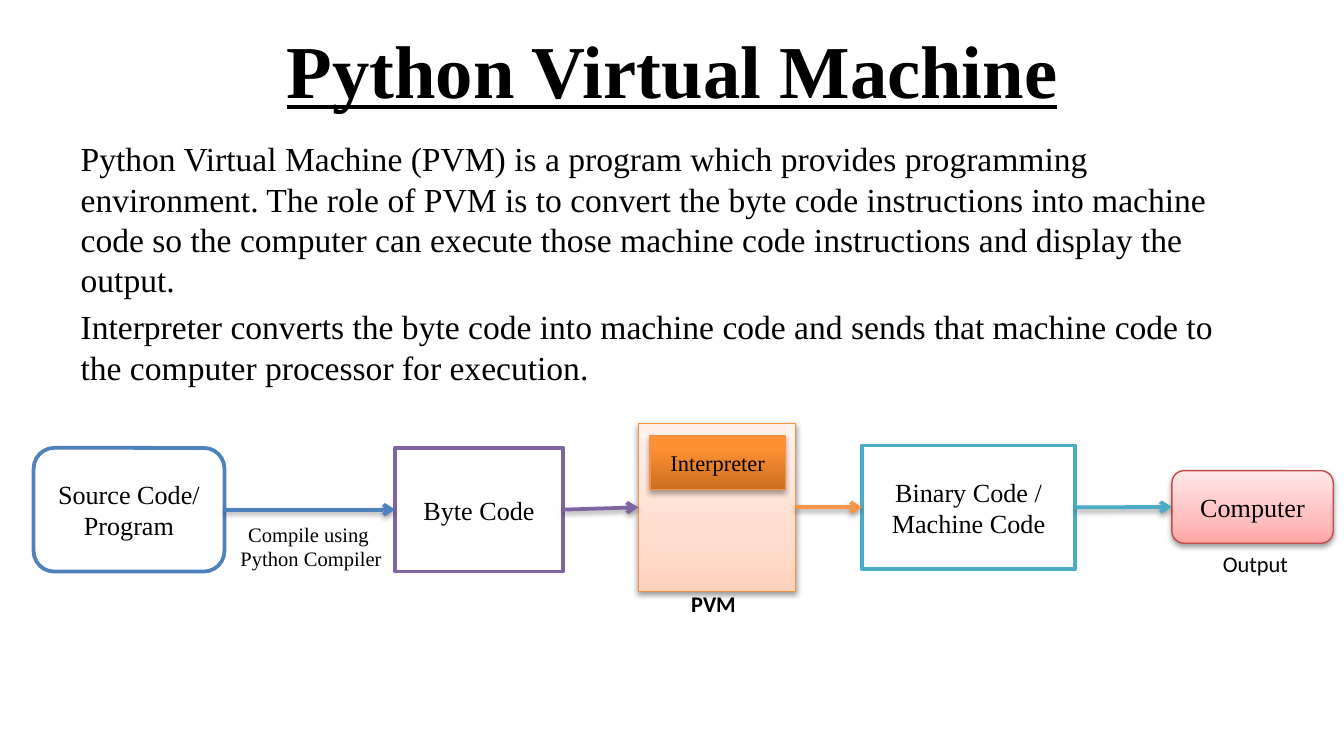
from copy import deepcopy
from itertools import pairwise

from pptx import Presentation
from pptx.dml.color import RGBColor
from pptx.enum.shapes import MSO_CONNECTOR as Link, MSO_SHAPE as Shape
from pptx.enum.text import MSO_ANCHOR as Anchor, MSO_AUTO_SIZE as AutoSize, PP_ALIGN as Align
from pptx.oxml import parse_xml
from pptx.oxml.ns import nsdecls
from pptx.util import Inches, Pt

SERIF, SANS = "Times New Roman", "Calibri"
LEFT_SITE, RIGHT_SITE = 1, 3
SLIDE_WIDTH = Inches(10)
SLIDE_HEIGHT = SLIDE_WIDTH * 9 // 16
TITLE_BOX = (5, 0.74, 90, 16.67)  # percent of the slide
BODY_BOX = (5, 17.41, 90, 35.56)
FLOW_BOX = (0, 56, 100, 22.22)

PEACH = [(0, "FFD2BD"), (35, "FFDED0"), (100, "FFF2ED")]
ORANGE = [(0, "CC6E20"), (80, "FF9034"), (100, "FF9136")]
PINK = [(0, "FFA6A5"), (35, "FFC0BF"), (100, "FFE7E7")]

# Text, outline, box in percent of the flow, fill, line, line width, arrow to the next stage
STAGES = [
    ("Source Code/ Program", Shape.ROUNDED_RECTANGLE, (2.5, 14.6, 14.2, 73.6), "FFFFFF", "4F81BD", 2, "4F81BD"),
    ("Byte Code", Shape.RECTANGLE, (29.4, 14.6, 12.5, 73.6), "FFFFFF", "8064A2", 2, "8064A2"),
    ("", Shape.RECTANGLE, (47.5, 0, 11.7, 100), PEACH, "F69240", 0.75, "F79646"),
    ("Binary Code / Machine Code", Shape.RECTANGLE, (64.15, 13.2, 15.85, 73.6), "FFFFFF", "4BACC6", 2, "4BACC6"),
    ("Computer", Shape.ROUNDED_RECTANGLE, (87.2, 28.2, 12, 43.2), PINK, "BF4C48", 0.75, None),
]
# Lines, box in percent of the flow, alignment, font
LABELS = [
    (["Compile using ", "Python Compiler"], (16.85, 54.6, 12.6, 37.6), Align.CENTER, dict(name=SERIF, size=Pt(11))),
    (["Output"], (90, 71.4, 6.9, 24), Align.LEFT, dict(name=SANS, size=Pt(12))),
    (["PVM"], (50.45, 95.6, 5.4, 24), Align.LEFT, dict(name=SANS, size=Pt(12), bold=True)),
]


def rgb(hex_colour):
    return RGBColor.from_string(hex_colour)


def within(box, shares):
    """Turn percentages of a box into left, top, width and height."""
    left, top, width, height = box
    x, y, w, h = shares
    return [int(n) for n in (left + width * x / 100, top + height * y / 100,
                             width * w / 100, height * h / 100)]


def apply(target, formats):
    for attribute, value in formats.items():
        setattr(target, attribute, value)


def write(frame, lines, align, font, **paragraph_format):
    frame.text = "\n".join(lines)
    for paragraph in frame.paragraphs:
        apply(paragraph, dict(alignment=align, **paragraph_format))
        for run in paragraph.runs:
            apply(run.font, font)
            run.font.color.rgb = rgb("000000")


def add_shadow(part, alpha=38, distance=1.6):
    part._element.spPr.append(parse_xml(
        f'<a:effectLst {nsdecls("a")}><a:outerShdw blurRad="{Pt(3.1)}" dist="{Pt(distance)}" '
        f'dir="5400000" rotWithShape="0"><a:srgbClr val="000000"><a:alpha val="{alpha * 1000}"/>'
        '</a:srgbClr></a:outerShdw></a:effectLst>'))


def paint(fill, colours):
    """Fill with one hex colour, or with upward gradient stops."""
    if isinstance(colours, str):
        fill.solid()
        fill.fore_color.rgb = rgb(colours)
        return
    fill.gradient()
    fill.gradient_angle = 90
    first_stop = fill.gradient_stops[0]._gs
    first_stop.addnext(deepcopy(first_stop))
    for stop, (percent, colour) in zip(fill.gradient_stops, colours):
        stop.position = percent / 100
        stop.color.rgb = rgb(colour)


def add_block(slide, box, text, outline, fill, line, line_width, size=14):
    block = slide.shapes.add_shape(outline, *box)
    paint(block.fill, fill)
    block.line.color.rgb = rgb(line)
    block.line.width = Pt(line_width)
    apply(block.text_frame, dict(word_wrap=True, vertical_anchor=Anchor.MIDDLE))
    if text:
        write(block.text_frame, [text], Align.CENTER, dict(name=SERIF, size=Pt(size)))
    return block


def add_arrow(slide, source, target, colour):
    arrow = slide.shapes.add_connector(Link.STRAIGHT, 0, 0, 0, 0)
    arrow.begin_connect(source, RIGHT_SITE)
    arrow.end_connect(target, LEFT_SITE)
    arrow.line.color.rgb = rgb(colour)
    arrow.line.width = Pt(2)
    arrow.line._get_or_add_ln().append(parse_xml(f'<a:tailEnd {nsdecls("a")} type="arrow"/>'))
    add_shadow(arrow)


def add_label(slide, box, lines, align, font):
    label = slide.shapes.add_textbox(*box)
    apply(label.text_frame, dict(word_wrap=False, auto_size=AutoSize.SHAPE_TO_FIT_TEXT))
    write(label.text_frame, lines, align, font)


def place_title(title, box):
    apply(title, dict(zip(("left", "top", "width", "height"), box)))
    title.text_frame.vertical_anchor = Anchor.MIDDLE
    write(title.text_frame, ["Python Virtual Machine"], Align.CENTER,
          dict(name=SERIF, size=Pt(40), bold=True, underline=True))


def place_body(body, box):
    apply(body, dict(zip(("left", "top", "width", "height"), box)))
    write(body.text_frame, [
        "Python Virtual Machine (PVM) is a program which provides programming environment. "
        "The role of PVM is to convert the byte code instructions into machine code so the computer "
        "can execute those machine code instructions and display the output.",
        "Interpreter converts the byte code into machine code and sends that machine code "
        "to the computer processor for execution.",
    ], Align.LEFT, dict(name=SERIF, size=Pt(18)), space_before=Pt(3.6))
    for paragraph in body.text_frame.paragraphs:
        properties = paragraph._p.get_or_add_pPr()
        properties.set("marL", "0")
        properties.set("indent", "0")
        properties.append(parse_xml(f'<a:buNone {nsdecls("a")}/>'))


def draw_flow(slide, box):
    blocks = []
    for text, outline, shares, fill, line, line_width, _ in STAGES:
        block = add_block(slide, within(box, shares), text, outline, fill, line, line_width)
        if fill == "FFFFFF":
            block.shadow.inherit = False
        else:
            add_shadow(block)
        blocks.append(block)
    interpreter = add_block(slide, within(box, (48.35, 7.6, 10.1, 32)), "Interpreter",
                            Shape.RECTANGLE, ORANGE, "F69240", 0.75, size=12)
    add_shadow(interpreter, alpha=35, distance=1.8)
    for (source, target), stage in zip(pairwise(blocks), STAGES):
        add_arrow(slide, source, target, stage[-1])
    for lines, shares, align, font in LABELS:
        add_label(slide, within(box, shares), lines, align, font)


def main():
    deck = Presentation()
    apply(deck, dict(slide_width=SLIDE_WIDTH, slide_height=SLIDE_HEIGHT))
    page = (0, 0, SLIDE_WIDTH, SLIDE_HEIGHT)
    slide = deck.slides.add_slide(deck.slide_layouts[1])
    place_title(slide.shapes.title, within(page, TITLE_BOX))
    place_body(slide.placeholders[1], within(page, BODY_BOX))
    draw_flow(slide, within(page, FLOW_BOX))
    deck.save("out.pptx")


if __name__ == "__main__":
    main()
